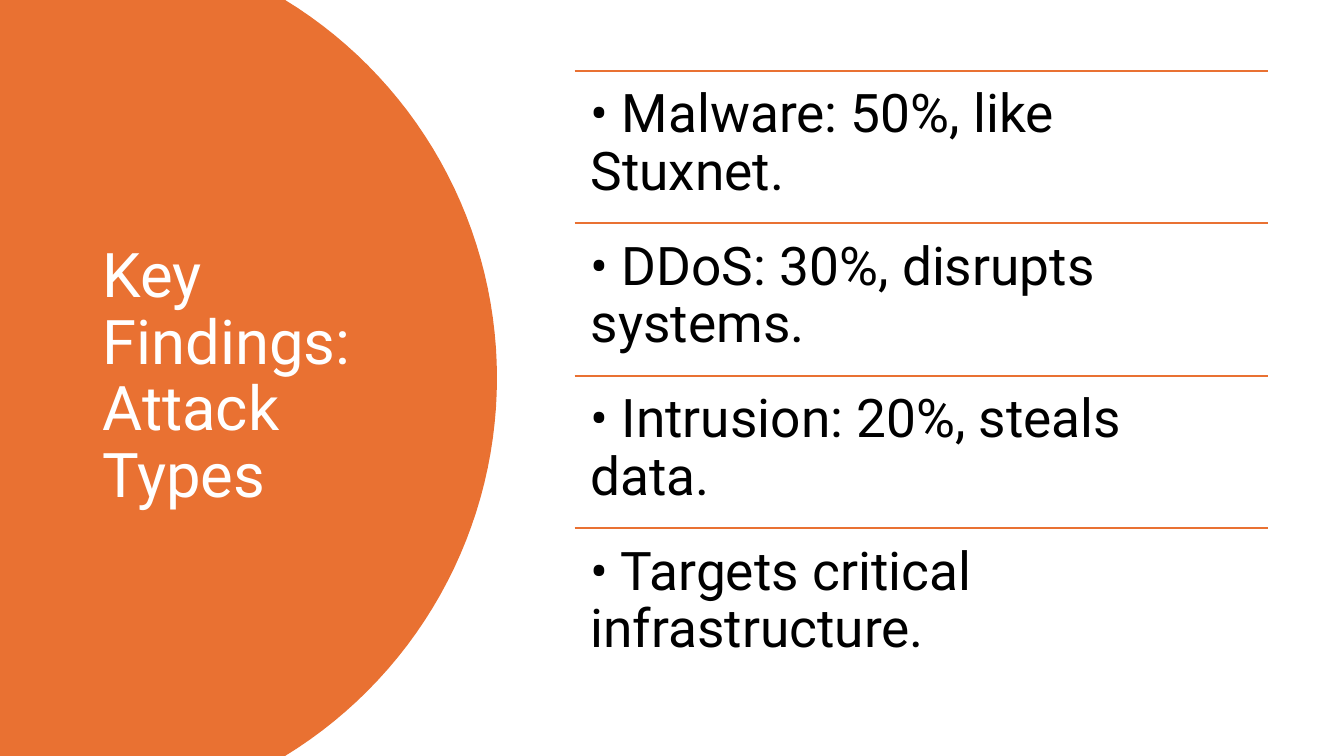
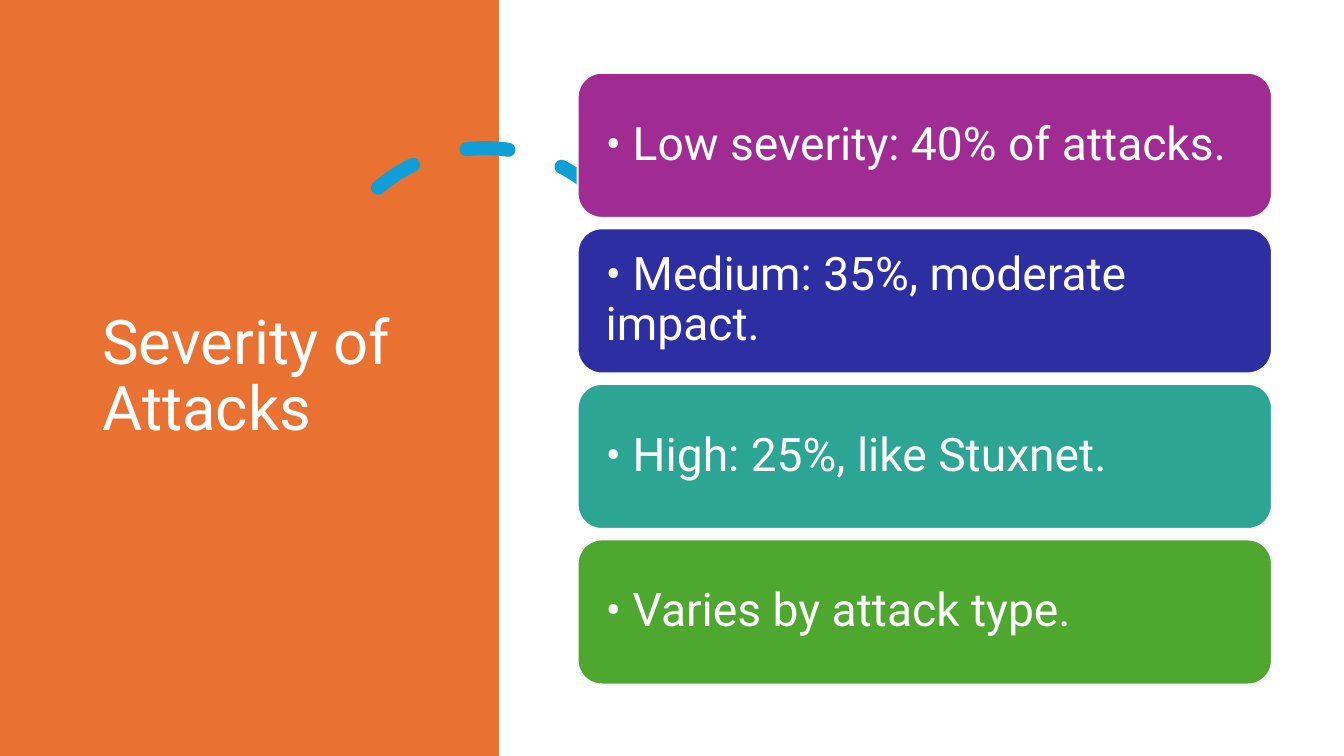
from dataclasses import dataclass
from math import asin, cos, sin

from lxml.etree import SubElement
from pptx import Presentation
from pptx.dml.color import RGBColor
from pptx.enum.dml import MSO_LINE
from pptx.enum.shapes import MSO_CONNECTOR, MSO_SHAPE
from pptx.enum.text import MSO_ANCHOR, MSO_AUTO_SIZE, PP_ALIGN
from pptx.oxml.ns import qn
from pptx.util import Pt

FONT = "Roboto"
SLIDE_W, SLIDE_H = 960, 540
COLORS = {
    "orange": "E97132",
    "sky": "0F9ED5",
    "purple": "A02B93",
    "indigo": "2C2EA2",
    "teal": "2DA594",
    "green": "4EA72E",
    "white": "FFFFFF",
    "black": "000000",
}


@dataclass(frozen=True)
class Stack:
    x: float
    y: float
    w: float
    h: float
    pitch: float

    def top(self, i: int) -> float:
        return self.y + i * self.pitch


@dataclass(frozen=True)
class Card:
    text: str
    color: str


FINDINGS = [
    "• Malware: 50%, like Stuxnet.",
    "• DDoS: 30%, disrupts systems.",
    "• Intrusion: 20%, steals data.",
    "• Targets critical infrastructure.",
]
SEVERITIES = [
    Card("• Low severity: 40% of attacks.", "purple"),
    Card("• Medium: 35%, moderate impact.", "indigo"),
    Card("• High: 25%, like Stuxnet.", "teal"),
    Card("• Varies by attack type.", "green"),
]
ROWS = Stack(410.4, 50.4, 495.4, 109, 109)
CARDS = Stack(412.6, 52, 496, 103.7, 111.1)


def rgb(name: str) -> RGBColor:
    return RGBColor.from_string(COLORS[name])


def paint(sp, color: str) -> None:
    sp.shadow.inherit = False
    sp.fill.solid()
    sp.fill.fore_color.rgb = rgb(color)
    sp.line.fill.background()


def write(sp, text: str, size: float, color: str, inset: float | tuple,
          anchor: MSO_ANCHOR) -> None:
    tf = sp.text_frame
    tf.word_wrap = True
    tf.auto_size = MSO_AUTO_SIZE.NONE
    tf.vertical_anchor = anchor
    dx, dy = inset if isinstance(inset, tuple) else (inset, inset)
    tf.margin_left = tf.margin_right = Pt(dx)
    tf.margin_top = tf.margin_bottom = Pt(dy)
    p = tf.paragraphs[0]
    p.alignment = PP_ALIGN.LEFT
    p.line_spacing = 0.9
    r = p.add_run()
    r.text = text
    r.font.name = FONT
    r.font.size = Pt(size)
    r.font.color.rgb = rgb(color)


def add_title(s, text: str) -> None:
    sp = s.shapes.title
    sp.left, sp.top, sp.width, sp.height = Pt(66), Pt(50.4), Pt(232.6), Pt(438.5)
    write(sp, text, 44, "white", (7.2, 3.6), MSO_ANCHOR.MIDDLE)
    s.shapes.element.append(sp.element)


def add_round_panel(s) -> None:
    radius, right, steps = 316.5, 355, 60
    half = asin(SLIDE_H / 2 / radius)
    angles = [half * (2 * i / steps - 1) for i in range(steps + 1)]
    arc = [(Pt(right - radius + radius * cos(a)), Pt(SLIDE_H / 2 + radius * sin(a)))
           for a in angles]
    fb = s.shapes.build_freeform(0, 0, scale=1.0)
    fb.add_line_segments([*arc, (0, Pt(SLIDE_H))], close=True)
    paint(fb.convert_to_shape(), "orange")


def add_square_panel(s) -> None:
    sp = s.shapes.add_shape(MSO_SHAPE.RECTANGLE, 0, 0, Pt(356.4), Pt(SLIDE_H))
    paint(sp, "orange")


def add_dashed_arc(s) -> None:
    sp = s.shapes.add_shape(MSO_SHAPE.ARC, Pt(229), Pt(105.8), Pt(235.4), Pt(235.4))
    sp.shadow.inherit = False
    sp.adjustments[0] = 146.13
    sp.adjustments[1] = 0
    sp.rotation = 345.8
    sp.fill.background()
    sp.line.color.rgb = rgb("sky")
    sp.line.width = Pt(10)
    sp.line.dash_style = MSO_LINE.DASH
    sp.element.spPr.find(qn("a:ln")).set("cap", "rnd")


def add_rule(s, x: float, y: float, w: float) -> None:
    cn = s.shapes.add_connector(MSO_CONNECTOR.STRAIGHT, Pt(x), Pt(y), Pt(x + w), Pt(y))
    cn.line.color.rgb = rgb("orange")
    cn.line.width = Pt(1.5)
    SubElement(cn.element.spPr, qn("a:effectLst"))


def add_findings(s) -> None:
    for i, text in enumerate(FINDINGS):
        y = ROWS.top(i)
        add_rule(s, ROWS.x, y, ROWS.w)
        sp = s.shapes.add_textbox(Pt(ROWS.x), Pt(y), Pt(ROWS.w), Pt(ROWS.h))
        write(sp, text, 38, "black", 11.5, MSO_ANCHOR.TOP)


def add_severities(s) -> None:
    for i, card in enumerate(SEVERITIES):
        sp = s.shapes.add_shape(MSO_SHAPE.ROUNDED_RECTANGLE, Pt(CARDS.x),
                                Pt(CARDS.top(i)), Pt(CARDS.w), Pt(CARDS.h))
        paint(sp, card.color)
        sp.line.color.rgb = rgb("white")
        sp.line.width = Pt(1.5)
        write(sp, card.text, 33, "white", 15, MSO_ANCHOR.MIDDLE)


def main() -> None:
    prs = Presentation()
    prs.slide_width, prs.slide_height = Pt(SLIDE_W), Pt(SLIDE_H)
    title_only = prs.slide_layouts[5]

    s = prs.slides.add_slide(title_only)
    add_round_panel(s)
    add_title(s, "Key Findings: Attack Types")
    add_findings(s)

    s = prs.slides.add_slide(title_only)
    add_square_panel(s)
    add_dashed_arc(s)
    add_title(s, "Severity of Attacks")
    add_severities(s)

    prs.save("out.pptx")


if __name__ == "__main__":
    main()
